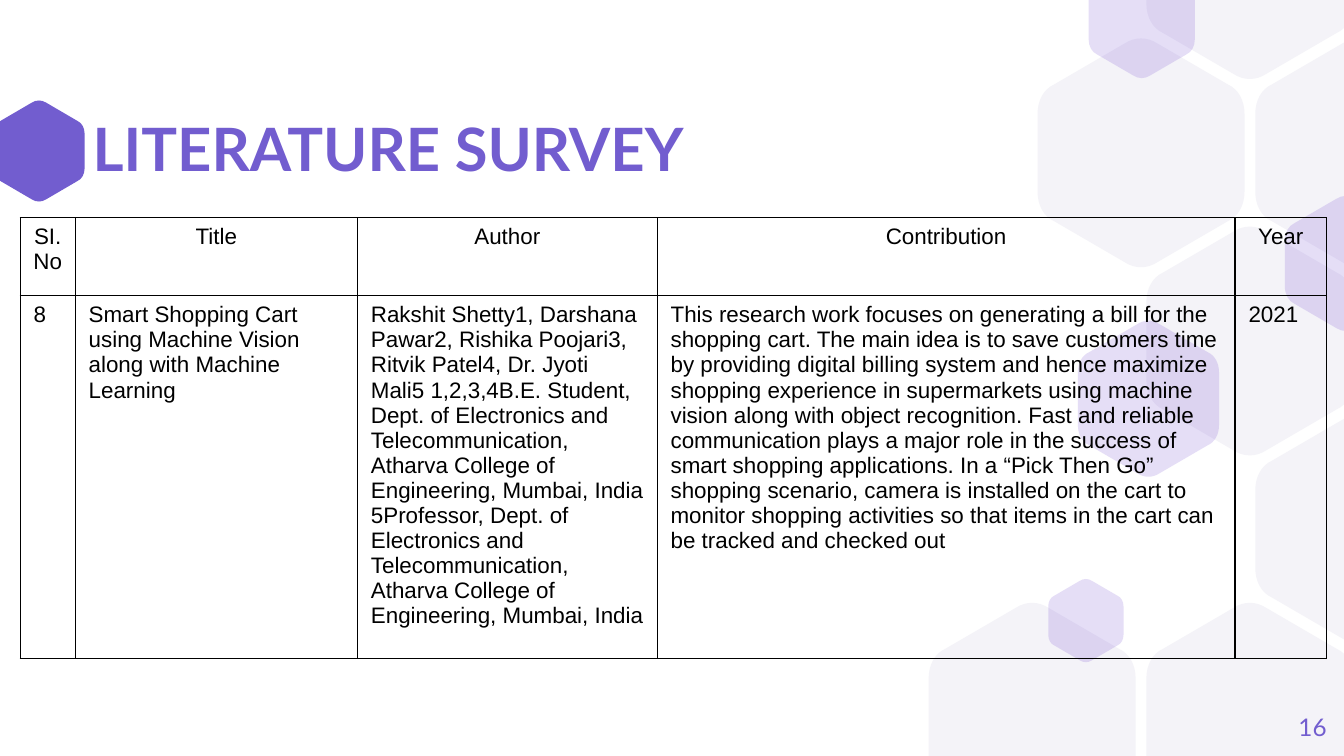
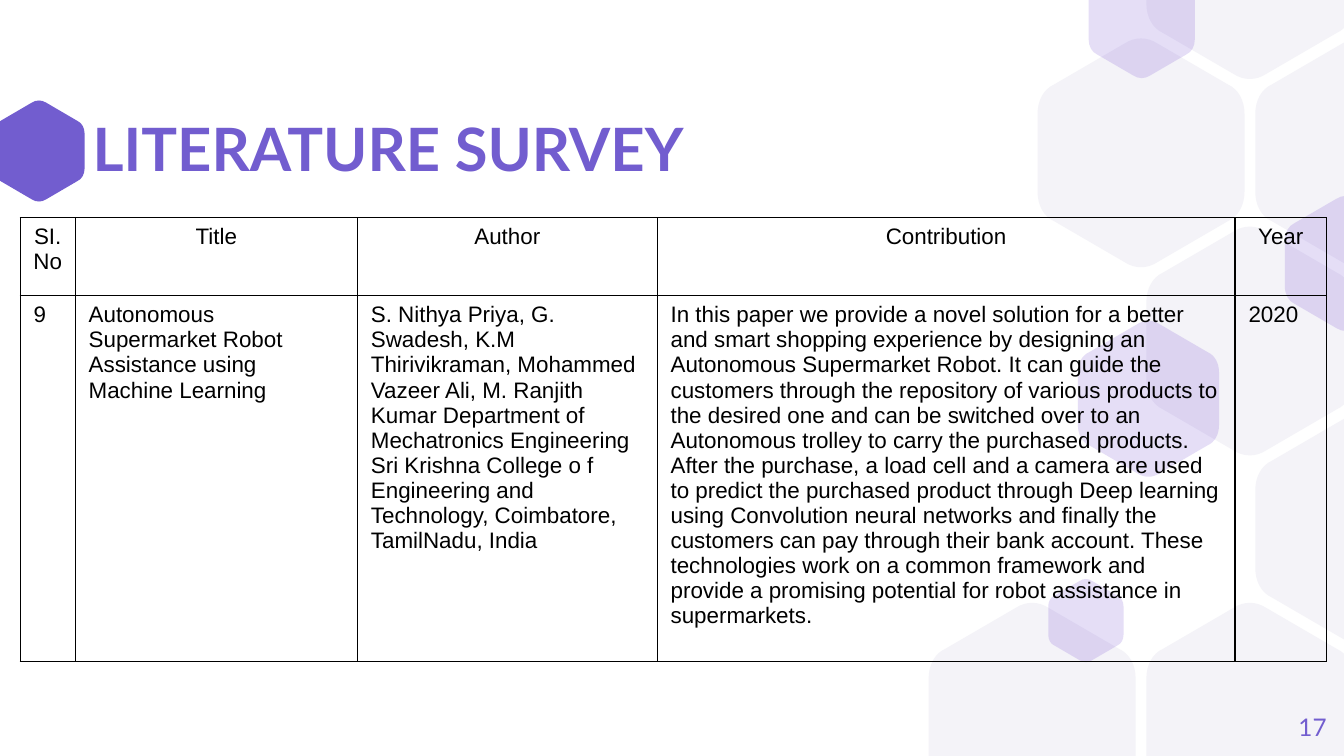
import lxml.etree
import pptx
import pptx.dml.color
import pptx.enum.text
import pptx.oxml.ns
import pptx.util

VIOLET = pptx.dml.color.RGBColor(0x72, 0x5D, 0xCF)
ACCENT = pptx.dml.color.RGBColor(0x53, 0x22, 0xC9)
PALE = pptx.dml.color.RGBColor(0xF4, 0xF3, 0xF8)
BLACK = pptx.dml.color.RGBColor(0, 0, 0)
ALIGN = pptx.enum.text.PP_ALIGN

WIDTH = pptx.util.Inches(10)
HEIGHT = WIDTH * 9 // 16
HEXAGON_RATIO = 1.1
SIDE_CORNER = ((1, 0.33), (1, 0.27), (0.97, 0.22), (0.92, 0.2))
TOP_CORNER = ((0.58, 0.02), (0.53, -0.01), (0.47, -0.01), (0.42, 0.02))

HONEYCOMB_ORIGIN = (6.91, 0.29)
HONEYCOMB_PITCH = (0.81, 1.4)
HONEYCOMB_SIZE = 1.54
HONEYCOMB_CELLS = ((0, 3), (2, 3), (3, 0), (2, -1), (2, 1), (1, 0), (3, 2))
ACCENT_HEXAGONS = ((9.56, 1.46, 0.91), (7.8, 4.31, 0.56), (8.1, -0.29, 0.79), (8.02, 2.39, 1.05))

TITLE = "LITERATURE SURVEY"
TITLE_BOX = (0.69, 0.92, 6.57, 0.43)
NUMBER_BOX = (9.27, 5.19, 0.6, 0.43)
TABLE_ORIGIN = (0.15, 1.62)
COLUMN_WIDTHS = (0.41, 2.1, 2.23, 4.3, 0.68)
HEADER_HEIGHT = 0.58
HEADERS = ("SI.No", "Title", "Author", "Contribution", "Year")
HEADER_MARGINS = (0.09, 0.09)
ENTRY_MARGINS = (0.1, 0.08)

SURVEYS = (
    (16, 2.53, (
        "8",
        "Smart Shopping Cart using Machine Vision along with Machine Learning",
        "Rakshit Shetty1, Darshana Pawar2, Rishika Poojari3, Ritvik Patel4, Dr. Jyoti Mali5 "
        "1,2,3,4B.E. Student, Dept. of Electronics and Telecommunication, Atharva College of "
        "Engineering, Mumbai, India 5Professor, Dept. of Electronics and Telecommunication, "
        "Atharva College of Engineering, Mumbai, India",
        "This research work focuses on generating a bill for the shopping cart. The main idea is "
        "to save customers time by providing digital billing system and hence maximize shopping "
        "experience in supermarkets using machine vision along with object recognition. Fast and "
        "reliable communication plays a major role in the success of smart shopping applications. "
        "In a “Pick Then Go” shopping scenario, camera is installed on the cart to monitor "
        "shopping activities so that items in the cart can be tracked and checked out",
        "2021",
    )),
    (17, 2.72, (
        "9",
        "Autonomous Supermarket Robot Assistance using Machine Learning",
        "S. Nithya Priya, G. Swadesh, K.M Thirivikraman, Mohammed Vazeer Ali, M. Ranjith Kumar "
        "Department of Mechatronics Engineering Sri Krishna College o f Engineering and "
        "Technology, Coimbatore, TamilNadu, India",
        "In this paper we provide a novel solution for a better and smart shopping experience by "
        "designing an Autonomous Supermarket Robot. It can guide the customers through the "
        "repository of various products to the desired one and can be switched over to an "
        "Autonomous trolley to carry the purchased products. After the purchase, a load cell and "
        "a camera are used to predict the purchased product through Deep learning using "
        "Convolution neural networks and finally the customers can pay through their bank "
        "account. These technologies work on a common framework and provide a promising "
        "potential for robot assistance in supermarkets.",
        "2020",
    )),
)


def hexagon_corners():
    """Return the curve controls of the six corners in a unit box."""
    mirrored = tuple((1 - x, y) for x, y in reversed(SIDE_CORNER))
    upper = [SIDE_CORNER, TOP_CORNER, mirrored]
    return upper + [tuple((1 - x, 1 - y) for x, y in corner) for corner in upper]


def round_corners(shape, count):
    """Turn the segments of the first corners of a freeform into curves."""
    segments = shape._element.findall(".//" + pptx.oxml.ns.qn("a:lnTo"))
    for corner in range(count):
        first, *others = segments[corner * 4:corner * 4 + 3]
        first.tag = pptx.oxml.ns.qn("a:cubicBezTo")
        for segment in others:
            first.append(segment[0])
            segment.getparent().remove(segment)


def add_hexagon(page, left, top, width, color, opacity=None):
    """Draw a rounded hexagon, cut at the upper and lower slide edges."""
    placed = [[(pptx.util.Inches(left + x * width),
                pptx.util.Inches(top + y * width * HEXAGON_RATIO)) for x, y in corner]
              for corner in hexagon_corners()]
    kept = [corner for corner in placed if 0 < sum(y for _, y in corner) / 4 < HEIGHT]
    points = [point for corner in kept for point in corner]
    if len(kept) < len(placed):
        edge = 0 if top < 0 else HEIGHT
        points += [(points[-1][0], edge), (points[0][0], edge)]
    builder = page.shapes.build_freeform(*points[0])
    builder.add_line_segments(points[1:], close=True)
    shape = builder.convert_to_shape()
    round_corners(shape, len(kept))
    shape.shadow.inherit = False
    shape.line.fill.background()
    shape.fill.solid()
    shape.fill.fore_color.rgb = color
    if opacity:
        tone = shape.fill._xPr.find(".//" + pptx.oxml.ns.qn("a:srgbClr"))
        lxml.etree.SubElement(tone, pptx.oxml.ns.qn("a:alpha"), val=str(opacity * 1000))


def add_backdrop(page):
    """Draw the title marker and the honeycomb."""
    add_hexagon(page, -0.05, 0.75, 0.68, VIOLET)
    for column, row in HONEYCOMB_CELLS:
        left, top = (start + pitch * index for start, pitch, index
                     in zip(HONEYCOMB_ORIGIN, HONEYCOMB_PITCH, (column, row)))
        add_hexagon(page, left, top, HONEYCOMB_SIZE, PALE)
    for left, top, width in ACCENT_HEXAGONS:
        add_hexagon(page, left, top, width, ACCENT, opacity=15)


def style_paragraph(para, font, size, color, align, bold=False):
    """Set the font and alignment of a paragraph."""
    para.alignment = align
    para.font.name = font
    para.font.size = pptx.util.Pt(size)
    para.font.color.rgb = color
    para.font.bold = bold


def add_label(page, area, text, size, align=ALIGN.LEFT, bold=False):
    """Place a violet line of text in the middle of its area."""
    box = page.shapes.add_textbox(*map(pptx.util.Inches, area))
    frame = box.text_frame
    frame.word_wrap = True
    frame.vertical_anchor = pptx.enum.text.MSO_ANCHOR.MIDDLE
    frame.margin_left = frame.margin_top = frame.margin_right = frame.margin_bottom = 0
    para = frame.paragraphs[0]
    para.text = text
    style_paragraph(para, "Lato", size, VIOLET, align, bold)
    return para


def add_borders(cell):
    """Rule all four sides of a cell in black."""
    properties = cell._tc.get_or_add_tcPr()
    for side in ("lnL", "lnR", "lnT", "lnB"):
        line = lxml.etree.SubElement(properties, pptx.oxml.ns.qn("a:" + side),
                                     w=str(pptx.util.Pt(0.75)))
        fill = lxml.etree.SubElement(line, pptx.oxml.ns.qn("a:solidFill"))
        lxml.etree.SubElement(fill, pptx.oxml.ns.qn("a:srgbClr"), val=str(BLACK))


def add_survey_table(page, entry, entry_height):
    """Place the table with its header and one surveyed paper."""
    heights = (HEADER_HEIGHT, entry_height)
    area = (*TABLE_ORIGIN, sum(COLUMN_WIDTHS), sum(heights))
    table = page.shapes.add_table(2, len(HEADERS), *map(pptx.util.Inches, area)).table
    table.first_row = table.horz_banding = False
    for column, width in zip(table.columns, COLUMN_WIDTHS):
        column.width = pptx.util.Inches(width)
    for row, height, texts, align, margins in zip(
            table.rows, heights, (HEADERS, entry), (ALIGN.CENTER, ALIGN.LEFT),
            (HEADER_MARGINS, ENTRY_MARGINS)):
        row.height = pptx.util.Inches(height)
        for cell, text in zip(row.cells, texts):
            cell.text = text
            cell.margin_left, cell.margin_right = map(pptx.util.Inches, margins)
            add_borders(cell)
            cell.fill.background()
            style_paragraph(cell.text_frame.paragraphs[0], "Arial", 12, BLACK, align)


def add_survey_page(deck, number, entry_height, entry):
    """Add one literature survey slide."""
    page = deck.slides.add_slide(deck.slide_layouts[6])
    add_backdrop(page)
    add_label(page, TITLE_BOX, TITLE, 32, bold=True).line_spacing = 0.9
    add_label(page, NUMBER_BOX, str(number), 13, ALIGN.RIGHT)
    add_survey_table(page, entry, entry_height)


def main():
    """Build and save the deck."""
    deck = pptx.Presentation()
    deck.slide_width, deck.slide_height = WIDTH, HEIGHT
    for survey in SURVEYS:
        add_survey_page(deck, *survey)
    deck.save("out.pptx")


if __name__ == "__main__":
    main()
